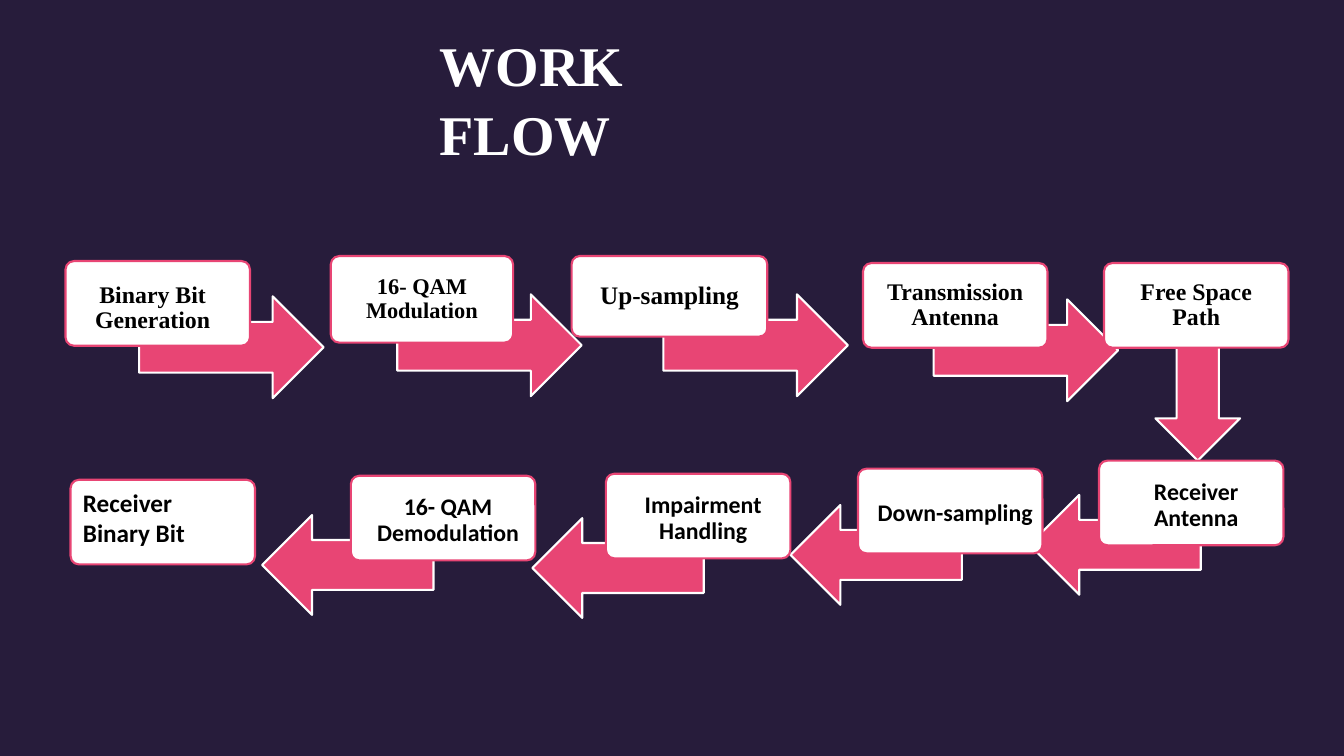
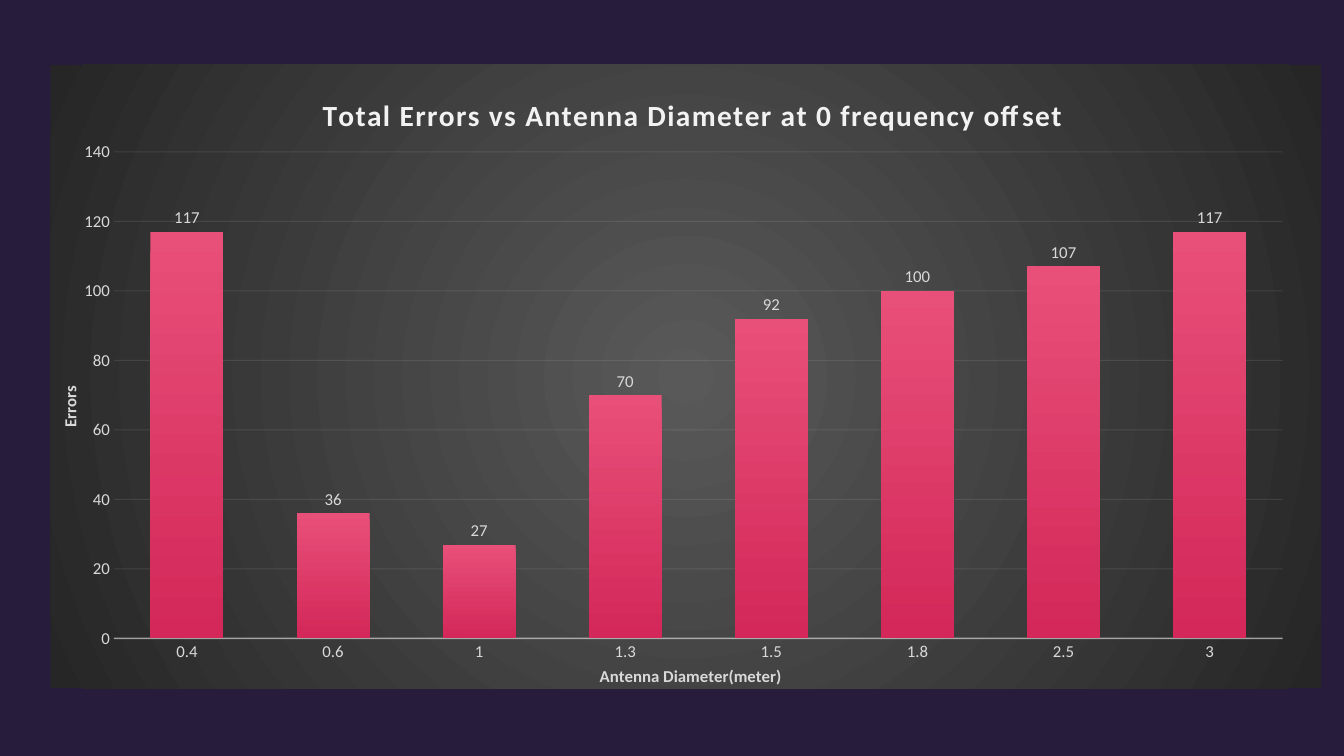
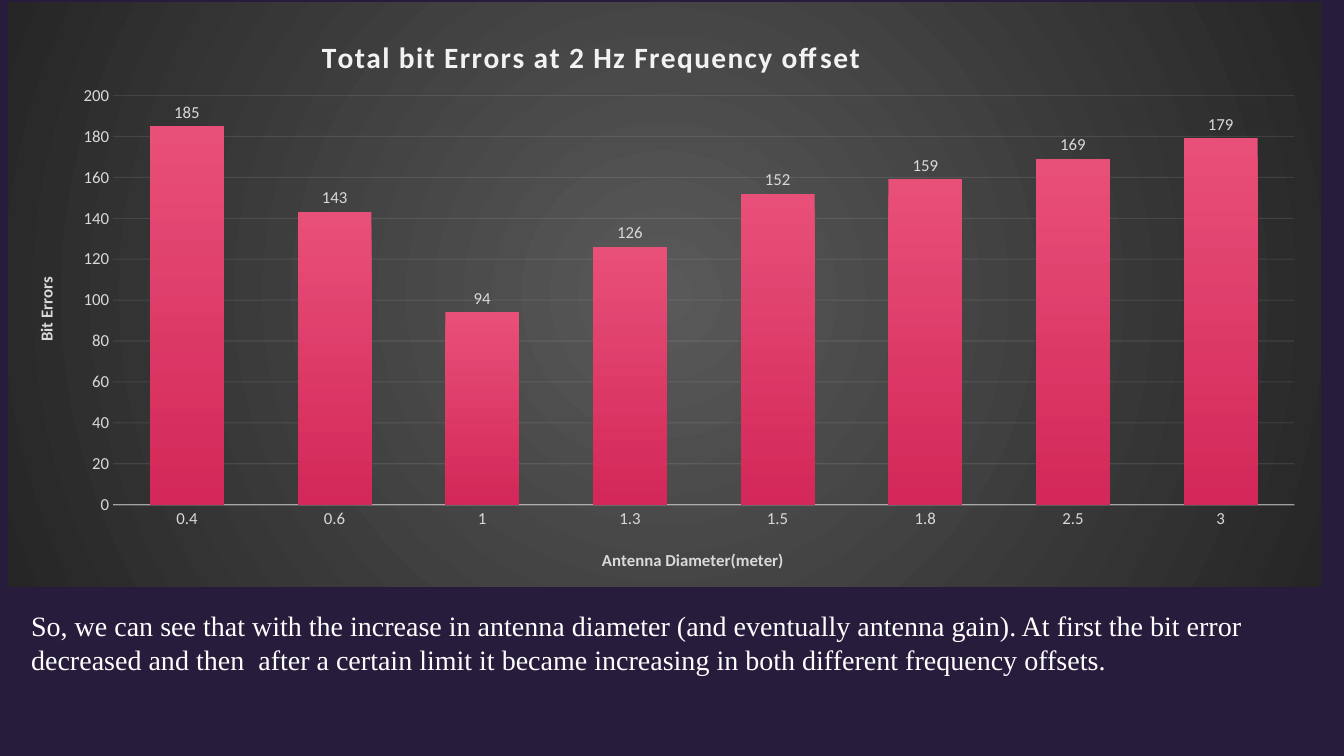
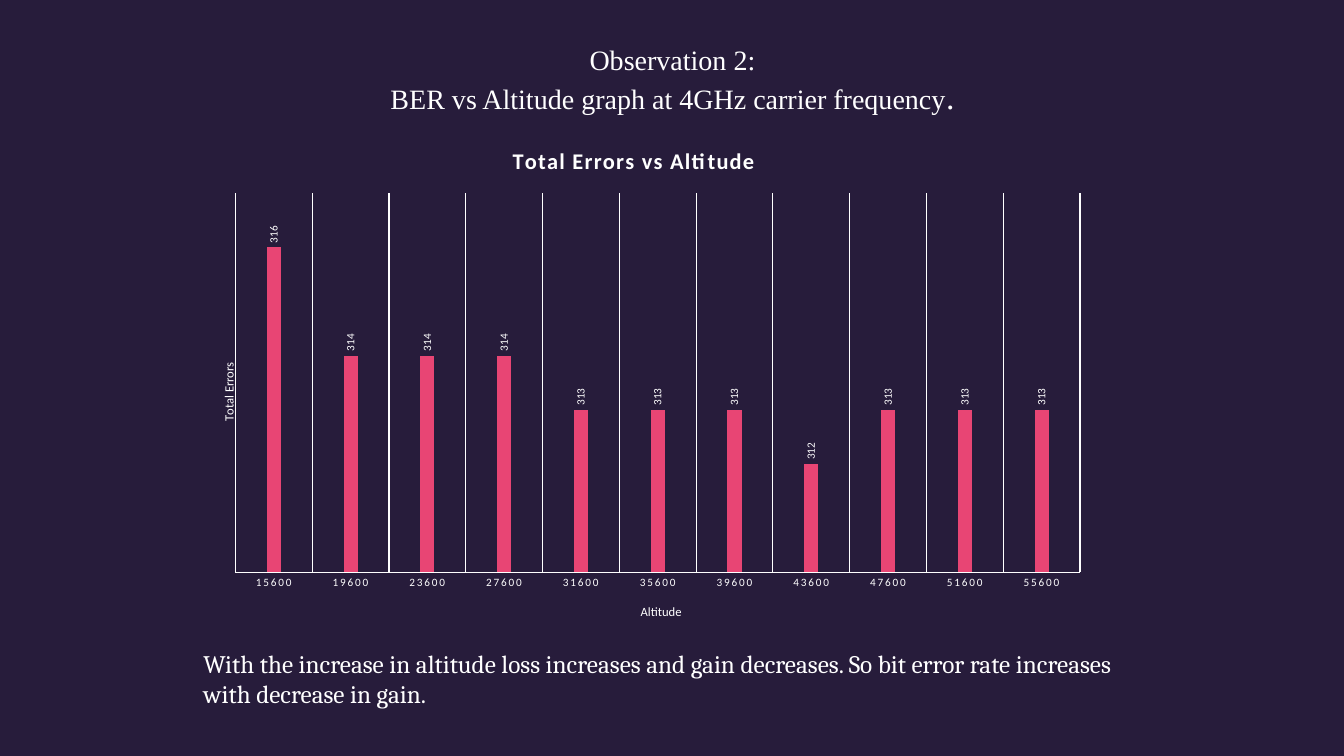
from lxml.etree import SubElement
from pptx import Presentation
from pptx.chart.data import CategoryChartData
from pptx.dml.color import RGBColor
from pptx.enum.chart import XL_CHART_TYPE, XL_LABEL_POSITION, XL_TICK_MARK
from pptx.enum.shapes import MSO_SHAPE
from pptx.enum.text import MSO_ANCHOR, MSO_AUTO_SIZE, PP_ALIGN
from pptx.oxml import parse_xml
from pptx.oxml.ns import nsdecls, qn
from pptx.util import Inches, Pt

# Shared colours, fonts and layouts
NIGHT = RGBColor(0x27, 0x1C, 0x3B)
PINK = RGBColor(0xE8, 0x45, 0x74)
ROSE = RGBColor(0xE8, 0x4F, 0x79)
RED = RGBColor(0xD3, 0x28, 0x59)
WHITE = RGBColor(0xFF, 0xFF, 0xFF)
PALE = RGBColor(0xF2, 0xF2, 0xF2)
GREY = RGBColor(0xD9, 0xD9, 0xD9)
BLACK = RGBColor(0, 0, 0)
TIMES, SANS, CAMBRIA = "Times New Roman", "Calibri", "Cambria"
TITLE_ONLY, BLANK = 5, 6
UPRIGHT = "-5400000"

# Chart panel fills
CLEAR = "<a:noFill/>"
GLOW = ('<a:gradFill><a:gsLst>'
        '<a:gs pos="0"><a:srgbClr val="595959"/></a:gs>'
        '<a:gs pos="100000"><a:srgbClr val="262626"/></a:gs></a:gsLst>'
        '<a:path path="circle"><a:fillToRect l="50000" t="50000" r="50000" b="50000"/>'
        '</a:path></a:gradFill>')

# Work flow: left, top, width, height, text, size, font, text shift across and down
CARDS = [
    (0.65, 2.59, 1.83, 0.84, "Binary Bit Generation", 17, TIMES, -0.05, 0.05),
    (3.28, 2.54, 1.81, 0.86, "16- QAM Modulation", 16, TIMES, 0, 0),
    (5.67, 2.54, 1.94, 0.8, "Up-sampling", 18, TIMES, 0, 0),
    (8.56, 2.61, 1.83, 0.84, "Transmission Antenna", 17, TIMES, 0, 0),
    (10.95, 2.61, 1.83, 0.84, "Free Space Path", 17, TIMES, 0, 0),
    (10.9, 4.57, 1.83, 0.84, "Receiver Antenna", 17, SANS, 0.05, 0.03),
    (8.51, 4.65, 1.83, 0.84, "Down-sampling", 17, SANS, 0.05, 0.03),
    (6.01, 4.7, 1.83, 0.84, "Impairment Handling", 17, SANS, 0.05, 0.03),
    (3.48, 4.72, 1.83, 0.84, "16- QAM Demodulation", 17, SANS, 0.05, 0.03),
]
RIGHT = [(1.38, 2.94), (3.94, 2.92), (6.58, 2.92), (9.26, 2.97)]
LEFT = [(10.21, 4.91), (7.84, 5.01), (5.28, 5.14), (2.6, 5.11)]
WIDTHS = ["0.4", "0.6", "1", "1.3", "1.5", "1.8", "2.5", "3"]


def style(font, size, color, name=SANS, bold=False, space=0):
    font.size, font.name, font.bold = Pt(size), name, bold
    font.color.rgb = color
    if space:
        font._rPr.set("spc", str(space))


def write(para, text, size, color, name, bold=False):
    run = para.add_run()
    run.text = text
    style(run.font, size, color, name, bold)


# Text
def head(slide, box):
    title = slide.shapes.title
    title.left, title.top, title.width, title.height = map(Inches, box)
    frame = title.text_frame
    frame.auto_size = MSO_AUTO_SIZE.NONE
    frame.word_wrap = True
    return frame


def note(slide, box, text, size, name):
    frame = slide.shapes.add_textbox(*map(Inches, box)).text_frame
    frame.word_wrap = True
    write(frame.paragraphs[0], text, size, WHITE, name)


# Flow shapes
def solid(slide, kind, box, fill, edge):
    shape = slide.shapes.add_shape(kind, *map(Inches, box))
    shape.shadow.inherit = False
    shape.fill.solid()
    shape.fill.fore_color.rgb = fill
    shape.line.color.rgb = edge
    shape.line.width = Pt(1.5)
    return shape


def card(slide, box, text, size, name):
    shape = solid(slide, MSO_SHAPE.ROUNDED_RECTANGLE, box, WHITE, PINK)
    shape.adjustments[0] = 0.1
    frame = shape.text_frame
    frame.word_wrap = True
    write(frame.paragraphs[0], text, size, BLACK, name, True)
    return frame


def step(slide, left, top, width, height, text, size, name, across, down):
    frame = card(slide, (left, top, width, height), text, size, name)
    pad = 0.12
    frame.margin_left, frame.margin_right = Inches(pad + across), Inches(pad - across)
    frame.margin_top, frame.margin_bottom = Inches(pad + down), Inches(pad - down)
    frame.vertical_anchor = MSO_ANCHOR.MIDDLE
    para = frame.paragraphs[0]
    para.alignment = PP_ALIGN.CENTER
    para.line_spacing = 0.9


# Charts
def place(part, **spots):
    """Give a chart part a manual place, in fractions of the chart."""
    old = part.find(qn("c:layout"))
    if old is not None:
        part.remove(old)
    modes = "".join(f'<c:{key}Mode val="edge"/>' for key in "xy")
    marks = "".join(f'<c:{key} val="{val}"/>' for key, val in spots.items())
    inner = '<c:layoutTarget val="inner"/>' if "w" in spots else ""
    layout = parse_xml(f'<c:layout {nsdecls("c")}><c:manualLayout>{inner}{modes}{marks}'
                       '</c:manualLayout></c:layout>')
    text = part.find(qn("c:tx"))
    if text is None:
        part.insert(0, layout)
    else:
        text.addnext(layout)


def label(title, text, spot, size, color, bold, space=0):
    frame = title.text_frame
    run = frame.paragraphs[0].add_run()
    run.text = text
    style(run.font, size, color, SANS, bold, space)
    place(title._element, x=spot[0], y=spot[1])
    return frame


def rule(line, color, width, alpha=100):
    line.color.rgb = color
    line.width = Pt(width)
    if alpha < 100:
        tint = line._get_or_add_ln().find(".//" + qn("a:srgbClr"))
        SubElement(tint, qn("a:alpha")).set("val", str(alpha * 1000))


def graph(slide, box, cats, vals, fill, plot, gap, lap, span, size, color):
    data = CategoryChartData()
    data.categories = cats
    data.add_series("Series 1", vals)
    chart = slide.shapes.add_chart(
        XL_CHART_TYPE.COLUMN_CLUSTERED, *map(Inches, box), data).chart
    style(chart.font, 10, WHITE)
    chart.has_legend = False
    root = chart._chartSpace
    root.find(qn("c:chart")).addnext(parse_xml(
        f'<c:spPr {nsdecls("c", "a")}>{fill}<a:ln><a:noFill/></a:ln></c:spPr>'))
    place(root.find(".//" + qn("c:plotArea")), **dict(zip("xywh", plot)))
    bars = chart.plots[0]
    bars.vary_by_categories = False
    bars.gap_width, bars.overlap = gap, lap
    bars.has_data_labels = True
    tags = bars.data_labels
    tags.show_value = True
    tags.position = XL_LABEL_POSITION.OUTSIDE_END
    style(tags.font, size, color)
    for axis in (chart.category_axis, chart.value_axis):
        axis.major_tick_mark = axis.minor_tick_mark = XL_TICK_MARK.NONE
        style(axis.tick_labels.font, size, color)
    axis = chart.value_axis
    axis.minimum_scale, axis.maximum_scale = span
    return chart


def names(chart, title, base, side, size, color, bold):
    """Title the chart and both axes; each item is a text and its spot."""
    text, spot, points, tone = title
    chart.has_title = True
    label(chart.chart_title, text, spot, points, tone, True, 100)
    label(chart.category_axis.axis_title, *base, size, color, bold)
    frame = label(chart.value_axis.axis_title, *side, size, color, bold)
    frame._txBody.bodyPr.set("rot", UPRIGHT)


def glow(slide, box, vals, plot, top, title, base, side):
    """Dark panel with errors for each antenna diameter."""
    chart = graph(slide, box, WIDTHS, vals, GLOW, plot, 100, -24, (0, top), 12, GREY)
    names(chart, (*title, 21, PALE), ("Antenna Diameter(meter)", base), side,
          12, GREY, True)
    rule(chart.category_axis.format.line, PALE, 1, 54)
    axis = chart.value_axis
    axis.major_unit = 20
    axis.format.line.fill.background()
    rule(axis.major_gridlines.format.line, PALE, 0.75, 10)
    fill = chart.plots[0].series[0].format.fill
    fill.gradient()
    fill.gradient_angle = 270
    for stop, color in zip(fill.gradient_stops, (ROSE, RED)):
        stop.color.rgb = color


# Slides
def flow(slide):
    frame = head(slide, (4.26, 0.17, 3.79, 1.59))
    frame.vertical_anchor = MSO_ANCHOR.MIDDLE
    para = frame.paragraphs[0]
    para.alignment = PP_ALIGN.LEFT
    para.line_spacing = 1.04
    write(para, "WORK FLOW", 40, WHITE, TIMES, True)
    for spot in RIGHT:
        solid(slide, MSO_SHAPE.RIGHT_ARROW, (*spot, 1.83, 1.01), PINK, WHITE)
    for spot in LEFT:
        solid(slide, MSO_SHAPE.LEFT_ARROW, (*spot, 1.7, 0.99), PINK, WHITE)
    solid(slide, MSO_SHAPE.DOWN_ARROW, (11.46, 3.12, 0.84, 1.45), PINK, WHITE)
    for item in CARDS:
        step(slide, *item)
    frame = card(slide, (0.7, 4.76, 1.83, 0.84), "Receiver Binary Bit", 18, SANS)
    frame.vertical_anchor = MSO_ANCHOR.TOP
    frame.paragraphs[0].alignment = PP_ALIGN.LEFT


def still(slide):
    glow(slide, (0.5, 0.64, 12.6, 6.22), (117, 36, 27, 70, 92, 100, 107, 117),
         (0.05, 0.14, 0.92, 0.78), 140,
         ("Total Errors vs Antenna Diameter at 0 frequency offset", (0.21, 0.04)),
         (0.43, 0.957), ("Errors", (0.004, 0.51)))


def shift(slide):
    glow(slide, (0.08, 0.02, 13.02, 5.8), (185, 143, 94, 126, 152, 159, 169, 179),
         (0.08, 0.16, 0.9, 0.7), 200,
         ("Total bit Errors at 2 Hz Frequency offset", (0.235, 0.05)),
         (0.45, 0.93), ("Bit Errors", (0.018, 0.465)))
    note(slide, (0.21, 5.99, 12.91, 0.77),
         "So, we can see that with the increase in antenna diameter (and eventually "
         "antenna gain). At first the bit error decreased and then  after a certain "
         "limit it became increasing in both different frequency offsets.", 20, TIMES)


def height(slide):
    frame = head(slide, (3.57, 0.37, 6.2, 0.81))
    frame.vertical_anchor = MSO_ANCHOR.TOP
    first, last = frame.paragraphs[0], frame.add_paragraph()
    first.alignment = last.alignment = PP_ALIGN.CENTER
    write(first, "Observation 2:", 20, WHITE, TIMES)
    write(last, "BER vs Altitude graph at 4GHz carrier frequency", 20, WHITE, TIMES)
    write(last, ".", 24, WHITE, TIMES)
    note(slide, (1.92, 6.38, 9.7, 0.71),
         "With the increase in altitude loss increases and gain decreases. "
         "So bit error rate increases with decrease in gain.", 18, CAMBRIA)
    cats = [str(num) for num in range(15600, 55601, 4000)]
    vals = (316, 314, 314, 314, 313, 313, 313, 312, 313, 313, 313)
    chart = graph(slide, (2.13, 1.18, 8.94, 5.01), cats, vals, CLEAR,
                  (0.023, 0.147, 0.937, 0.751), 444, -81, (310, 317), 8, WHITE)
    names(chart, ("Total Errors vs Altitude", (0.326, 0.045), 16, WHITE),
          ("Altitude", (0.47, 0.956)), ("Total Errors", (0.004, 0.477)),
          9, WHITE, False)
    axis = chart.category_axis
    style(axis.tick_labels.font, 8, WHITE, space=120)
    axis.has_major_gridlines = True
    rule(axis.format.line, WHITE, 0.75)
    rule(axis.major_gridlines.format.line, WHITE, 0.75)
    chart.value_axis.has_major_gridlines = False
    chart.value_axis.visible = False
    bars = chart.plots[0]
    fill = bars.series[0].format.fill
    fill.solid()
    fill.fore_color.rgb = PINK
    body = bars.data_labels._element.find(".//" + qn("a:bodyPr"))
    body.set("rot", UPRIGHT)
    body.set("vert", "horz")


def main():
    deck = Presentation()
    deck.slide_width, deck.slide_height = Inches(13.33), Inches(7.5)
    back = deck.slide_master.background.fill
    back.solid()
    back.fore_color.rgb = NIGHT
    for draw, layout in ((flow, TITLE_ONLY), (still, BLANK),
                         (shift, BLANK), (height, TITLE_ONLY)):
        draw(deck.slides.add_slide(deck.slide_layouts[layout]))
    deck.save("out.pptx")


if __name__ == "__main__":
    main()
